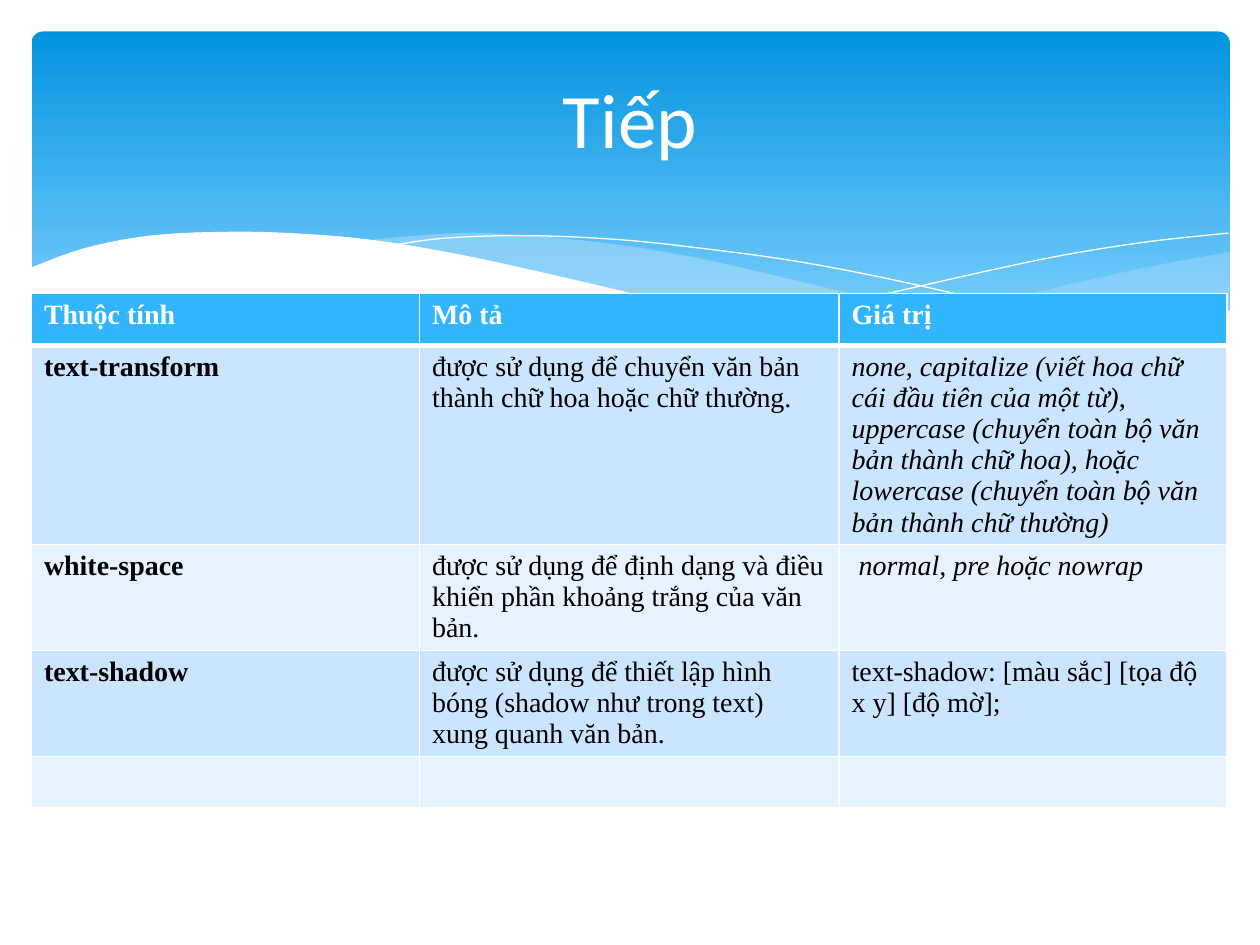
from dataclasses import dataclass
from typing import Optional

from lxml.etree import SubElement
from pptx import Presentation
from pptx.dml.color import RGBColor
from pptx.enum.shapes import MSO_SHAPE
from pptx.enum.text import MSO_ANCHOR, PP_ALIGN
from pptx.oxml.ns import qn
from pptx.util import Inches, Pt

COLORS = {
    "white": "FFFFFF", "black": "000000", "sky_top": "0293E0", "sky_bottom": "81D2FE",
    "mist": "C6E7FC", "header": "31B6FD", "band": "CCE5FE", "light": "E7F2FF",
}
Point = tuple[float, float]


@dataclass
class Wave:
    curves: list[list[Point]]
    fill: Optional[str] = None
    alpha: int = 100


@dataclass
class Row:
    texts: tuple[str, str, str]
    fill: str
    color: str = "black"
    bold: tuple[bool, bool, bool] = (True, False, False)
    italic_value: bool = False
    top: float = 1
    bottom: float = 1


WAVES = [
    Wave([[(9.76, 2), (9.21, 2.1), (8.61, 2.23), (7.53, 2.48), (6.61, 2.65)],
          [(6.61, 2.65), (7.19, 2.72), (7.81, 2.77), (8.35, 2.77), (8.81, 2.73),
           (9.28, 2.63), (9.76, 2.47)]], "mist", 29),
    Wave([[(8.93, 2.73), (8.07, 2.6), (7.06, 2.4), (6.29, 2.22), (5.55, 2.05),
           (4.89, 1.94), (4.2, 1.87), (3.61, 1.85), (2.86, 1.91)],
          [(2.86, 1.91), (3.62, 2.03), (4.49, 2.22), (5.3, 2.4), (6.18, 2.58),
           (6.95, 2.7), (7.61, 2.77), (8.28, 2.78), (8.93, 2.73)]], "mist", 40),
    Wave([[(3.09, 1.95), (3.53, 1.89), (4.16, 1.87), (4.89, 1.9), (5.56, 1.97),
           (6.36, 2.08), (7.27, 2.26), (8.31, 2.51), (9.07, 2.72)]]),
    Wave([[(6.13, 2.57), (6.72, 2.41), (7.48, 2.23), (8.36, 2.04), (9.1, 1.92),
           (9.75, 1.85)]]),
    Wave([[(9.77, 2.46), (9.3, 2.62), (8.75, 2.73), (8.09, 2.77), (7.26, 2.72),
           (6.26, 2.58), (5.29, 2.39), (4.47, 2.2), (3.65, 2.02), (2.92, 1.9),
           (2.3, 1.85), (1.77, 1.84), (1.19, 1.87), (0.67, 1.97), (0.23, 2.13)],
          [(0.23, 3.29), (9.77, 3.29)]], "white"),
]
ROWS = [
    Row(("Thuộc tính", "Mô tả", "Giá trị"), "header", "white", (True, True, True), bottom=3),
    Row(("text-transform",
         "được sử dụng để chuyển văn bản thành chữ hoa hoặc chữ thường.",
         "none, capitalize (viết hoa chữ cái đầu tiên của một từ), uppercase (chuyển toàn bộ "
         "văn bản thành chữ hoa), hoặc lowercase (chuyển toàn bộ văn bản thành chữ thường)"),
        "band", italic_value=True, top=3),
    Row(("white-space",
         "được sử dụng để định dạng và điều khiển phần khoảng trắng của văn bản.",
         "\u00a0normal, pre hoặc nowrap"), "light", italic_value=True),
    Row(("text-shadow",
         "được sử dụng để thiết lập hình bóng (shadow như trong text) xung quanh văn bản.",
         "text-shadow: [màu sắc] [tọa độ x y] [độ mờ];"), "band"),
    Row(("", "", ""), "light"),
]


def rgb(name: str) -> RGBColor:
    return RGBColor.from_string(COLORS[name])


def apply_format(obj, values: dict) -> None:
    for name, value in values.items():
        setattr(obj, name, value)


def format_font(font, color: str, **values) -> None:
    apply_format(font, values)
    font.color.rgb = rgb(color)


def smooth(pts: list[Point], steps: int = 5) -> list[Point]:
    ends = [pts[0], *pts, pts[-1]]
    out = [pts[0]]
    for a, b, c, d in zip(ends, ends[1:], ends[2:], ends[3:]):
        for t in (n / steps for n in range(1, steps + 1)):
            out.append(tuple(
                (2 * q + (r - p) * t + (2 * p - 5 * q + 4 * r - s) * t ** 2
                 + (3 * q - p - 3 * r + s) * t ** 3) / 2
                for p, q, r, s in zip(a, b, c, d)))
    return out


def draw_sky(shapes) -> None:
    sp = shapes.add_shape(MSO_SHAPE.ROUNDED_RECTANGLE, Inches(0.25), Inches(0.25),
                          Inches(9.51), Inches(2.7))
    sp.adjustments[0] = 0.034
    sp.shadow.inherit = False
    sp.line.fill.background()
    sp.fill.gradient()
    sp.fill.gradient_angle = 270
    stops = (("sky_top", 0), ("sky_bottom", 0.9))
    for stop, (color, position) in zip(sp.fill.gradient_stops, stops):
        stop.color.rgb = rgb(color)
        stop.position = position


def draw_wave(shapes, wave: Wave) -> None:
    pts = [(Inches(x), Inches(y)) for curve in wave.curves for x, y in smooth(curve)]
    builder = shapes.build_freeform(*pts[0])
    builder.add_line_segments(pts[1:], close=wave.fill is not None)
    sp = builder.convert_to_shape()
    sp.shadow.inherit = False
    if wave.fill is None:
        sp.fill.background()
        sp.line.color.rgb = rgb("white")
        sp.line.width = Pt(0.75)
        return
    sp.line.fill.background()
    sp.fill.solid()
    sp.fill.fore_color.rgb = rgb(wave.fill)
    if wave.alpha < 100:
        clr = sp.element.spPr.find(qn("a:solidFill")).find(qn("a:srgbClr"))
        SubElement(clr, qn("a:alpha"), val=str(wave.alpha * 1000))


def set_borders(cell, widths: dict[str, float]) -> None:
    tc_pr = cell._tc.get_or_add_tcPr()
    for side, width in widths.items():
        ln = SubElement(tc_pr, qn(f"a:ln{side}"), w=str(Pt(width)))
        fill = SubElement(ln, qn("a:solidFill"))
        SubElement(fill, qn("a:srgbClr"), val=COLORS["white"])


def draw_table(shapes, rows: list[Row]) -> None:
    widths = (3.08, 3.33, 3.08)
    height = 0.41
    table = shapes.add_table(len(rows), len(widths), Inches(0.25), Inches(2.33),
                             Inches(sum(widths)), Inches(height * len(rows))).table
    for col, width in zip(table.columns, widths):
        col.width = Inches(width)
    for i, row in enumerate(rows):
        table.rows[i].height = Inches(height)
        for j, text in enumerate(row.texts):
            cell = table.cell(i, j)
            set_borders(cell, {"L": 1, "R": 1, "T": row.top, "B": row.bottom})
            cell.fill.solid()
            cell.fill.fore_color.rgb = rgb(row.fill)
            if text:
                r = cell.text_frame.paragraphs[0].add_run()
                r.text = text
                format_font(r.font, row.color, name="Times New Roman", size=Pt(16),
                            bold=row.bold[j], italic=row.italic_value and j == 2)


def draw_title(s, text: str) -> None:
    title = s.shapes.title
    apply_format(title, {"left": Inches(0.5), "top": Inches(0.37),
                         "width": Inches(9), "height": Inches(1.13)})
    tf = title.text_frame
    tf.vertical_anchor = MSO_ANCHOR.MIDDLE
    p = tf.paragraphs[0]
    p.alignment = PP_ALIGN.CENTER
    r = p.add_run()
    r.text = text
    format_font(r.font, "white", name="Calibri", size=Pt(44))
    title.element.getparent().append(title.element)


prs = Presentation()
prs.slide_width, prs.slide_height = Inches(10), Inches(7.5)
s = prs.slides.add_slide(prs.slide_layouts[5])
draw_sky(s.shapes)
for wave in WAVES:
    draw_wave(s.shapes, wave)
draw_table(s.shapes, ROWS)
draw_title(s, "Tiếp")
prs.save("out.pptx")
